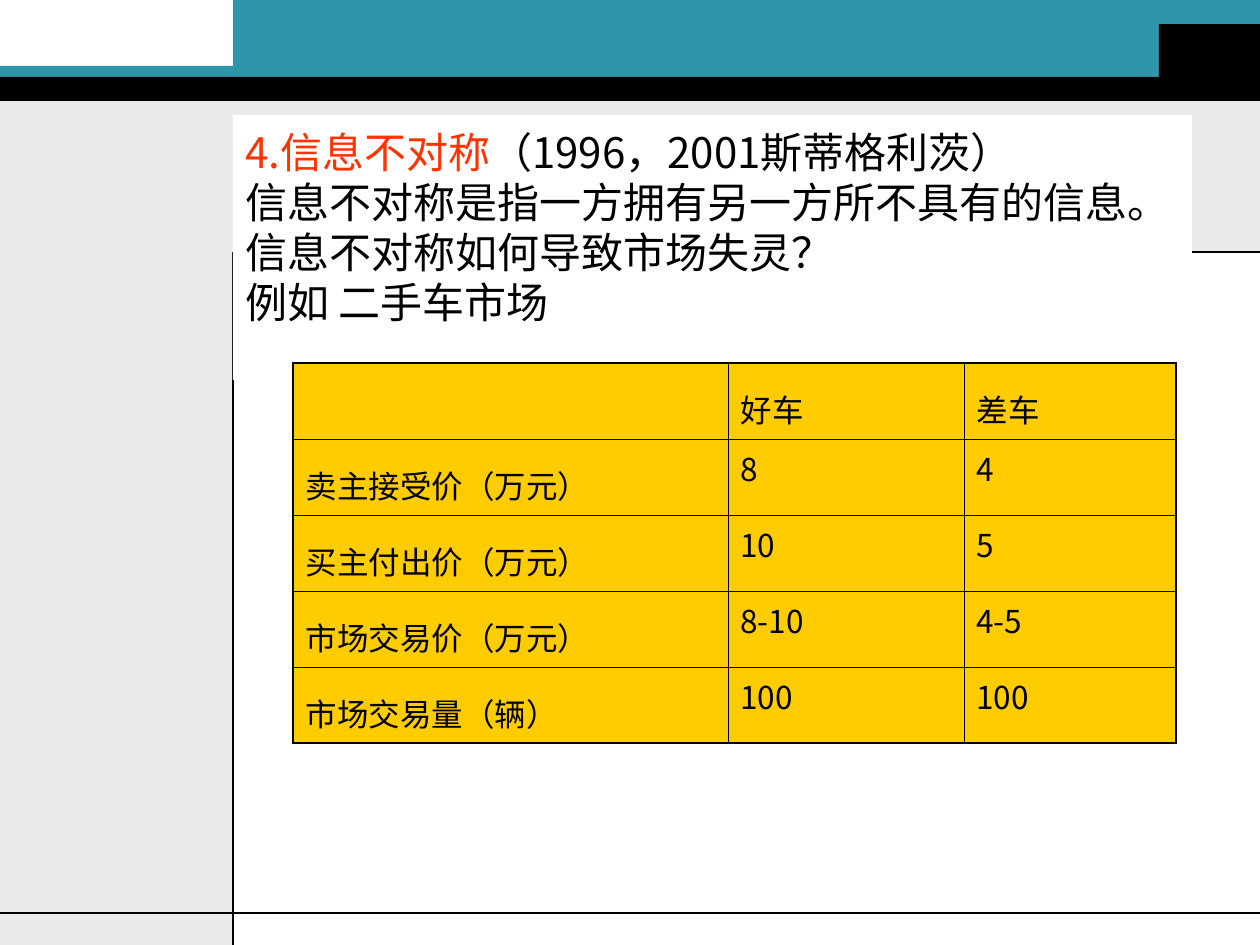
from lxml import etree
from pptx import Presentation
from pptx.dml.color import RGBColor
from pptx.enum.shapes import MSO_CONNECTOR, MSO_SHAPE
from pptx.enum.text import MSO_ANCHOR
from pptx.oxml.ns import qn
from pptx.util import Emu, Pt

RECTANGLE = MSO_SHAPE.RECTANGLE
STRAIGHT = MSO_CONNECTOR.STRAIGHT
MIDDLE = MSO_ANCHOR.MIDDLE

EMU_PER_PX = 914400 // 126
SLIDE_SIZE = (1260, 945)
TEXT_FONT, TABLE_FONT = "Noto Sans CJK SC", "Noto Sans CJK KR"
BLACK, WHITE, GREY, TEAL = "000000", "FFFFFF", "EAEAEA", "2D96AB"
RED, YELLOW = "FF3300", "FFCC00"

# left, top, width, height, fill
BANDS = [
    (0, 252, 233, 693, GREY),
    (0, 95, 1260, 157, GREY),
    (233, 0, 1027, 77, TEAL),
    (0, 66, 394, 16, TEAL),
    (0, 77, 1260, 24, BLACK),
    (1159, 24, 101, 59, BLACK),
]
# from x, from y, to x, to y
RULES = [(233, 252, 1260, 252), (233, 252, 233, 945), (0, 913, 1260, 913)]

TEXT_BOX = (233, 115, 959, 265)
TEXT_TOP_INSET = 12
PARAGRAPHS = [
    [("4.信息不对称", RED), ("（1996，2001斯蒂格利茨）", BLACK)],
    [("信息不对称是指一方拥有另一方所不具有的信息。", BLACK)],
    [("信息不对称如何导致市场失灵？", BLACK)],
    [("例如 二手车市场", BLACK)],
]

TABLE_LEFT, TABLE_TOP = 293, 363
COLUMN_WIDTHS = [435, 236, 212]
ROW_HEIGHT = 76
LABEL_TOP_INSET = 41
OUTER_LINE, INNER_LINE = 1.08, 0.45
ROWS = [
    ["", "好车", "差车"],
    ["卖主接受价（万元）", "8", "4"],
    ["买主付出价（万元）", "10", "5"],
    ["市场交易价（万元）", "8-10", "4-5"],
    ["市场交易量（辆）", "100", "100"],
]


def px(value):
    return Emu(value * EMU_PER_PX)


def color(hex_text):
    return RGBColor.from_string(hex_text)


def format_run(span, font_name, size, hex_text):
    span.font.name = font_name
    span.font.size = Pt(size)
    span.font.color.rgb = color(hex_text)
    east_asian = etree.SubElement(span.font._element, qn("a:ea"))
    east_asian.set("typeface", font_name)


def add_band(page, left, top, width, height, fill):
    band = page.shapes.add_shape(RECTANGLE, px(left), px(top), px(width), px(height))
    band.shadow.inherit = False
    band.fill.solid()
    band.fill.fore_color.rgb = color(fill)
    band.line.fill.background()


def add_rule(page, *ends):
    rule = page.shapes.add_connector(STRAIGHT, *map(px, ends))
    rule.line.color.rgb = color(BLACK)
    rule.line.width = Pt(0.75)
    etree.SubElement(rule._element.spPr, qn("a:effectLst"))


def add_text(page):
    box = page.shapes.add_textbox(*map(px, TEXT_BOX))
    box.fill.solid()
    box.fill.fore_color.rgb = color(WHITE)
    frame = box.text_frame
    frame.word_wrap = True
    frame.margin_top = px(TEXT_TOP_INSET)
    for index, parts in enumerate(PARAGRAPHS):
        para = frame.add_paragraph() if index else frame.paragraphs[0]
        para.line_spacing = Pt(28.6)
        for text, hex_text in parts:
            span = para.add_run()
            span.text = text
            format_run(span, TEXT_FONT, 24, hex_text)


def set_borders(cell, outer_sides):
    properties = cell._tc.get_or_add_tcPr()
    for index, side in enumerate(("lnL", "lnR", "lnT", "lnB")):
        width = OUTER_LINE if side in outer_sides else INNER_LINE
        line = etree.Element(qn(f"a:{side}"), w=str(Pt(width)))
        fill = etree.SubElement(line, qn("a:solidFill"))
        etree.SubElement(fill, qn("a:srgbClr"), val=BLACK)
        properties.insert(index, line)


def add_price_table(page):
    last_row, last_column = len(ROWS) - 1, len(COLUMN_WIDTHS) - 1
    table = page.shapes.add_table(
        len(ROWS), len(COLUMN_WIDTHS), px(TABLE_LEFT), px(TABLE_TOP),
        px(sum(COLUMN_WIDTHS)), px(ROW_HEIGHT * len(ROWS))).table
    for column, width in zip(table.columns, COLUMN_WIDTHS):
        column.width = px(width)
    for r, values in enumerate(ROWS):
        table.rows[r].height = px(ROW_HEIGHT)
        for c, value in enumerate(values):
            cell = table.cell(r, c)
            cell.fill.solid()
            cell.fill.fore_color.rgb = color(YELLOW)
            cell.vertical_anchor = MIDDLE
            edges = {"lnL": c == 0, "lnR": c == last_column,
                     "lnT": r == 0, "lnB": r == last_row}
            set_borders(cell, [side for side, outer in edges.items() if outer])
            if not value:
                continue
            if r == 0 or c == 0:
                cell.margin_top = px(LABEL_TOP_INSET)
            cell.text_frame.text = value
            para = cell.text_frame.paragraphs[0]
            para.line_spacing = Pt(15)
            format_run(para.runs[0], TABLE_FONT, 18, BLACK)


def main():
    deck = Presentation()
    deck.slide_width, deck.slide_height = map(px, SLIDE_SIZE)
    page = deck.slides.add_slide(deck.slide_layouts[6])
    for band in BANDS:
        add_band(page, *band)
    for rule in RULES:
        add_rule(page, *rule)
    add_text(page)
    add_price_table(page)
    deck.save("out.pptx")


if __name__ == "__main__":
    main()
